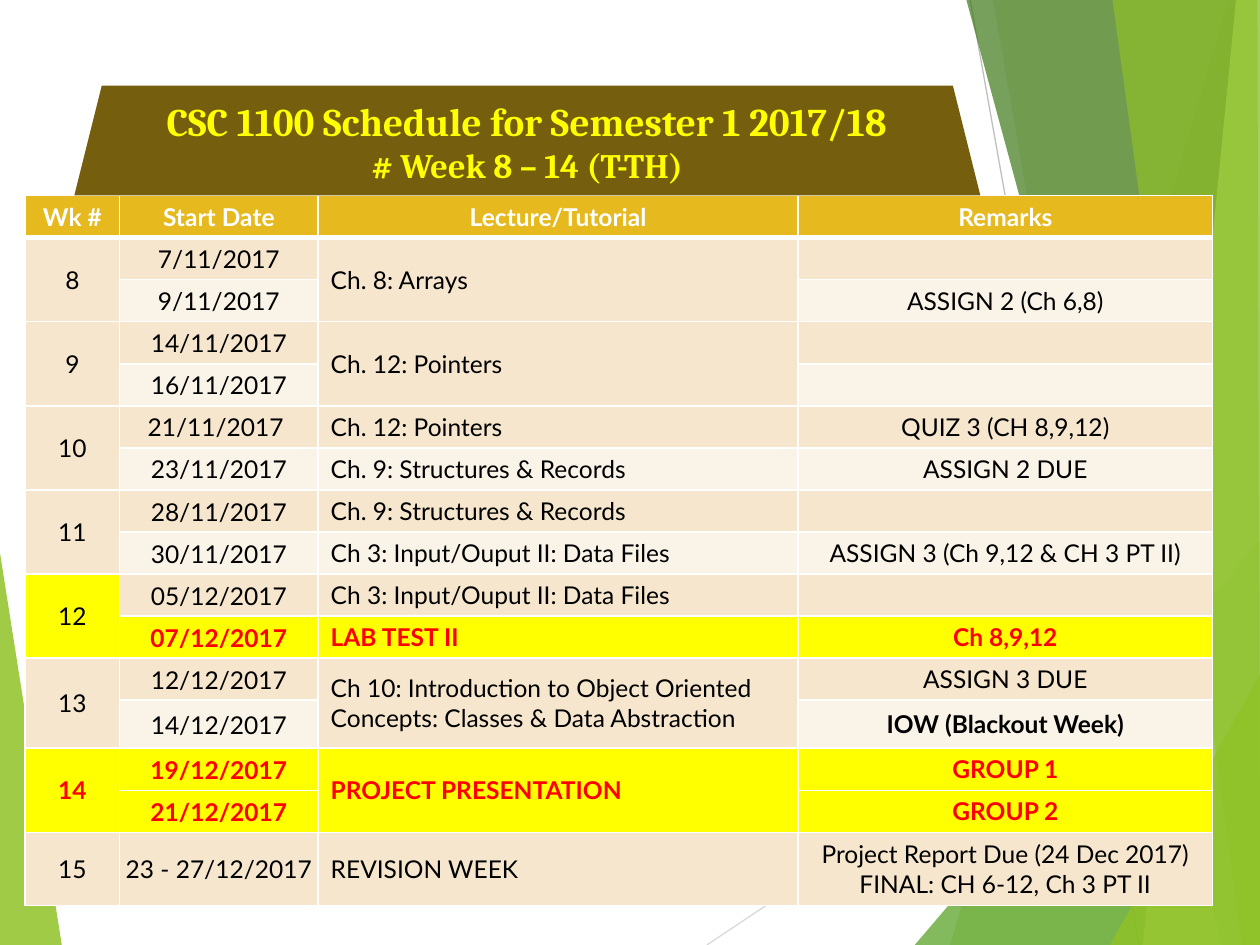
from dataclasses import dataclass

from lxml import etree
from pptx import Presentation
from pptx.dml.color import RGBColor
from pptx.enum.shapes import MSO_CONNECTOR, MSO_SHAPE
from pptx.enum.text import MSO_ANCHOR, PP_ALIGN
from pptx.oxml.ns import qn
from pptx.util import Inches, Pt

STRAIGHT = MSO_CONNECTOR.STRAIGHT
TRAPEZOID = MSO_SHAPE.TRAPEZOID
MIDDLE = MSO_ANCHOR.MIDDLE
LEFT, CENTER = PP_ALIGN.LEFT, PP_ALIGN.CENTER
SLIDE_W, SLIDE_H = Inches(10), Inches(7.5)


@dataclass(frozen=True)
class Theme:
    title_font: str = "Cambria"
    table_font: str = "Lato"
    title_size: float = 22.4
    subtitle_size: float = 19.6
    table_size: float = 14
    banner: str = "755E0D"
    header: str = "E6B91E"
    bands: tuple = ("F5E6CD", "FAF3E8")
    highlight: str = "FFFF00"
    alert: str = "FF0000"
    text: str = "000000"
    white: str = "FFFFFF"


THEME = Theme()

# Facets: colour, opacity in %, corners in % of the slide
FACETS = [
    ("90C226", 85, [(0, 58.53), (4.9, 100), (0, 100)]),
    ("90C226", 30, [(97.5, 0), (75.4, 100), (100, 100), (100, 0)]),
    ("90C226", 20, [(78.8, 0), (91.9, 100), (100, 100), (100, 0)]),
    ("54A021", 72, [(72.6, 100), (100, 57.2), (100, 100)]),
    ("3F7819", 70, [(76.7, 0), (97, 100), (100, 100), (100, 0)]),
    ("C0E474", 70, [(98.1, 0), (90.7, 100), (100, 100), (100, 0)]),
    ("90C226", 65, [(88.3, 0), (98.6, 100), (100, 100), (99.8, 0)]),
    ("90C226", 80, [(88.1, 100), (100, 71.33), (100, 100)]),
]
RAYS = [("D9D9D9", (56.1, 100), (100, 60.93)),
        ("BFBFBF", (77, 0), (90.4, 100))]

# Table grid in % of the slide
COLUMNS = [7.5, 15.75, 38.1, 32.9]
ROW, TALL_ROWS = 4.45, {12: 5.08, 15: 7.73}
HEADINGS = ["Wk #", "Start Date", "Lecture/Tutorial", "Remarks"]

# Week: sessions of (date, topic, remark, alert); topic None continues the one above
WEEKS = {
    "8": [("7/11/2017", "Ch. 8: Arrays", "", False),
          ("9/11/2017", None, "ASSIGN 2 (Ch 6,8)", False)],
    "9": [("14/11/2017", "Ch. 12: Pointers", "", False),
          ("16/11/2017", None, "", False)],
    "10": [("21/11/2017 ", "Ch. 12: Pointers", "QUIZ 3 (CH 8,9,12)", False),
           ("23/11/2017", "Ch. 9: Structures & Records", "ASSIGN 2 DUE", False)],
    "11": [("28/11/2017", "Ch. 9: Structures & Records", "", False),
           ("30/11/2017", "Ch 3: Input/Ouput II: Data Files",
            "ASSIGN 3 (Ch 9,12 & CH 3 PT II)", False)],
    "12": [("05/12/2017", "Ch 3: Input/Ouput II: Data Files", "", False),
           ("07/12/2017", "LAB TEST II", "Ch 8,9,12", True)],
    "13": [("12/12/2017", "Ch 10: Introduction to Object Oriented "
            "Concepts: Classes & Data Abstraction", "ASSIGN 3 DUE", False),
           ("14/12/2017", None, "IOW (Blackout Week)", False)],
    "14": [("19/12/2017", "PROJECT PRESENTATION", "GROUP 1", True),
           ("21/12/2017", None, "GROUP 2", True)],
    "15": [("23 - 27/12/2017", "REVISION WEEK",
            "Project Report Due (24 Dec 2017)\nFINAL: CH 6-12, Ch 3 PT II", False)],
}
BOLD_REMARKS = {"IOW (Blackout Week)"}


def px(percent):
    return round(SLIDE_W * percent / 100)


def py(percent):
    return round(SLIDE_H * percent / 100)


def rgb(color):
    return RGBColor.from_string(color)


def paint(fill, color):
    fill.solid()
    fill.fore_color.rgb = rgb(color)


def style_paragraph(paragraph, font, size, color, bold, align):
    paragraph.alignment = align
    for run in paragraph.runs:
        run.font.name, run.font.size, run.font.bold = font, Pt(size), bold
        run.font.color.rgb = rgb(color)


def add_ray(slide, color, start, end):
    ray = slide.shapes.add_connector(
        STRAIGHT, px(start[0]), py(start[1]), px(end[0]), py(end[1]))
    ray.line.color.rgb = rgb(color)
    ray.line.width = Pt(0.75)
    etree.SubElement(ray._element.spPr, qn("a:effectLst"))


def add_facet(slide, color, opacity, corners):
    points = [(px(x), py(y)) for x, y in corners]
    builder = slide.shapes.build_freeform(*points[0])
    builder.add_line_segments(points[1:], close=True)
    facet = builder.convert_to_shape()
    paint(facet.fill, color)
    facet.line.fill.background()
    facet.shadow.inherit = False
    fill_color = facet._element.spPr.find(f"{qn('a:solidFill')}/{qn('a:srgbClr')}")
    etree.SubElement(fill_color, qn("a:alpha"), val=str(opacity * 1000))


def set_borders(cell, bottom_width=1):
    properties = cell._tc.get_or_add_tcPr()
    widths = {"a:lnL": 1, "a:lnR": 1, "a:lnT": 1, "a:lnB": bottom_width}
    for position, (tag, width) in enumerate(widths.items()):
        border = etree.Element(qn(tag), w=str(Pt(width)))
        solid = etree.SubElement(border, qn("a:solidFill"))
        etree.SubElement(solid, qn("a:srgbClr"), val=THEME.white)
        properties.insert(position, border)


def fill_cell(cell, text, fill, color=THEME.text, bold=False, align=CENTER):
    paint(cell.fill, fill)
    cell.vertical_anchor = MIDDLE
    if not text:  # keeps an empty line from stretching its row
        cell.margin_top = cell.margin_bottom = 0
        return
    cell.text_frame.text = text
    for paragraph in cell.text_frame.paragraphs:
        style_paragraph(paragraph, THEME.table_font, THEME.table_size, color, bold, align)


def fill_session(table, row, session):
    date, topic, remark, alert = session
    fill = THEME.highlight if alert else THEME.bands[(row - 1) % 2]
    color = THEME.alert if alert else THEME.text
    date_cell = table.cell(row, 1)
    fill_cell(date_cell, date, fill, color, alert)
    date_cell.margin_left = date_cell.margin_right = date_cell.margin_top = Inches(0.01)
    date_cell.margin_bottom = 0
    fill_cell(table.cell(row, 2), topic, fill, color, alert, LEFT)
    fill_cell(table.cell(row, 3), remark, fill, color, alert or remark in BOLD_REMARKS)
    if topic is None:
        table.cell(row - 1, 2).merge(table.cell(row, 2))


def add_schedule(slide):
    row_count = 1 + sum(len(sessions) for sessions in WEEKS.values())
    heights = [TALL_ROWS.get(row, ROW) for row in range(row_count)]
    table = slide.shapes.add_table(
        row_count, len(COLUMNS), px(2), py(20.7), px(sum(COLUMNS)), py(sum(heights))).table
    table.horz_banding = False
    for column, width in zip(table.columns, COLUMNS):
        column.width = px(width)
    for row, height in zip(table.rows, heights):
        row.height = py(height)

    # Header row
    for column, heading in enumerate(HEADINGS):
        fill_cell(table.cell(0, column), heading, THEME.header, THEME.white, True)

    # Weeks and their sessions
    row = 1
    for week, sessions in WEEKS.items():
        alerts = [session[-1] for session in sessions]
        fill = THEME.highlight if any(alerts) else THEME.bands[0]
        color = THEME.alert if all(alerts) else THEME.text
        for offset, session in enumerate(sessions):
            fill_cell(table.cell(row + offset, 0), "" if offset else week,
                      fill, color, all(alerts))
            fill_session(table, row + offset, session)
        if len(sessions) > 1:
            table.cell(row, 0).merge(table.cell(row + len(sessions) - 1, 0))
        row += len(sessions)

    for index in range(row_count):
        for column in range(len(COLUMNS)):
            set_borders(table.cell(index, column), 1 if index else 3)


def add_banner(slide):
    banner = slide.shapes.add_shape(TRAPEZOID, px(5.9), py(9.07), px(71.9), py(11.6))
    paint(banner.fill, THEME.banner)
    banner.line.fill.background()
    banner.shadow.inherit = False
    frame = banner.text_frame
    frame.word_wrap = True
    frame.vertical_anchor = MIDDLE
    frame.text = "CSC 1100 Schedule for Semester 1 2017/18\n# Week 8 – 14 (T-TH)"
    for paragraph, size in zip(frame.paragraphs, (THEME.title_size, THEME.subtitle_size)):
        style_paragraph(paragraph, THEME.title_font, size, THEME.highlight, True, CENTER)


def main():
    deck = Presentation()
    deck.slide_width, deck.slide_height = SLIDE_W, SLIDE_H
    slide = deck.slides.add_slide(deck.slide_layouts[6])
    # Backdrop: the left facet, the rays, then the right facets
    add_facet(slide, *FACETS[0])
    for ray in RAYS:
        add_ray(slide, *ray)
    for facet in FACETS[1:]:
        add_facet(slide, *facet)
    # Content
    add_schedule(slide)
    add_banner(slide)
    deck.save("out.pptx")


if __name__ == "__main__":
    main()
